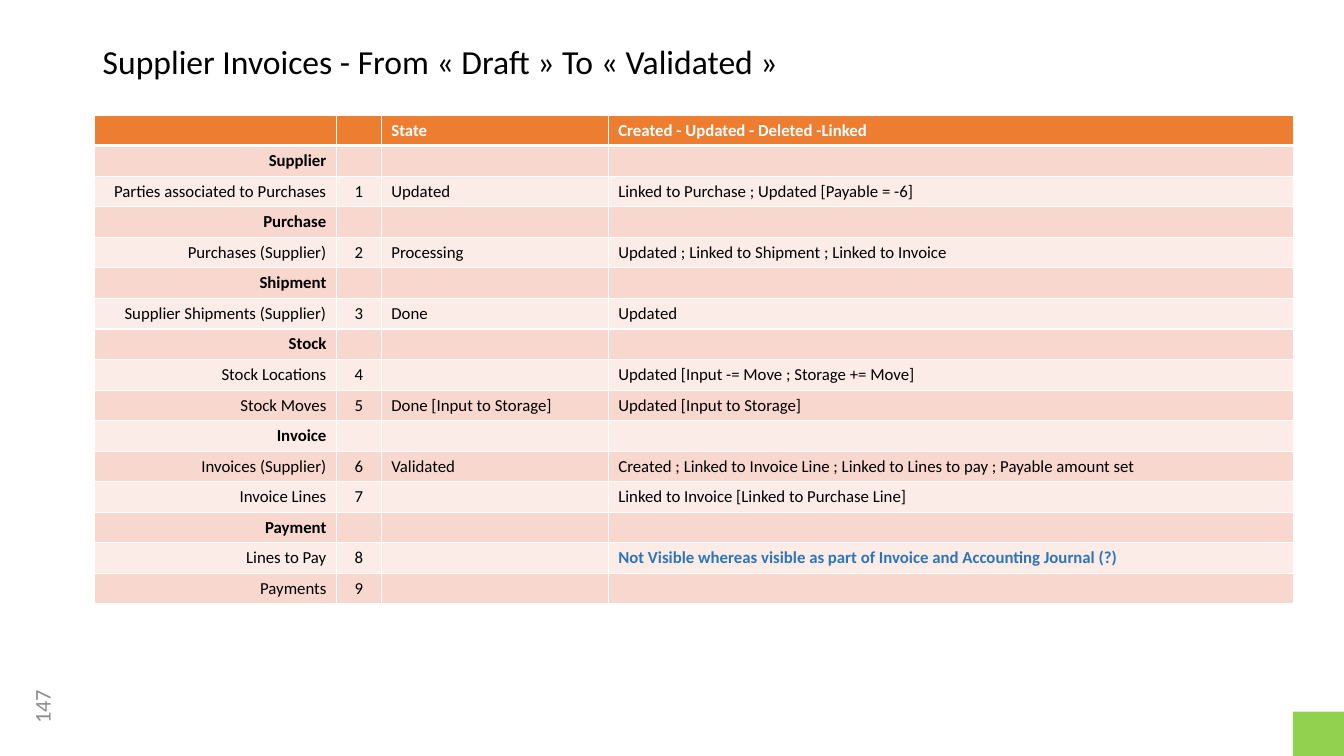
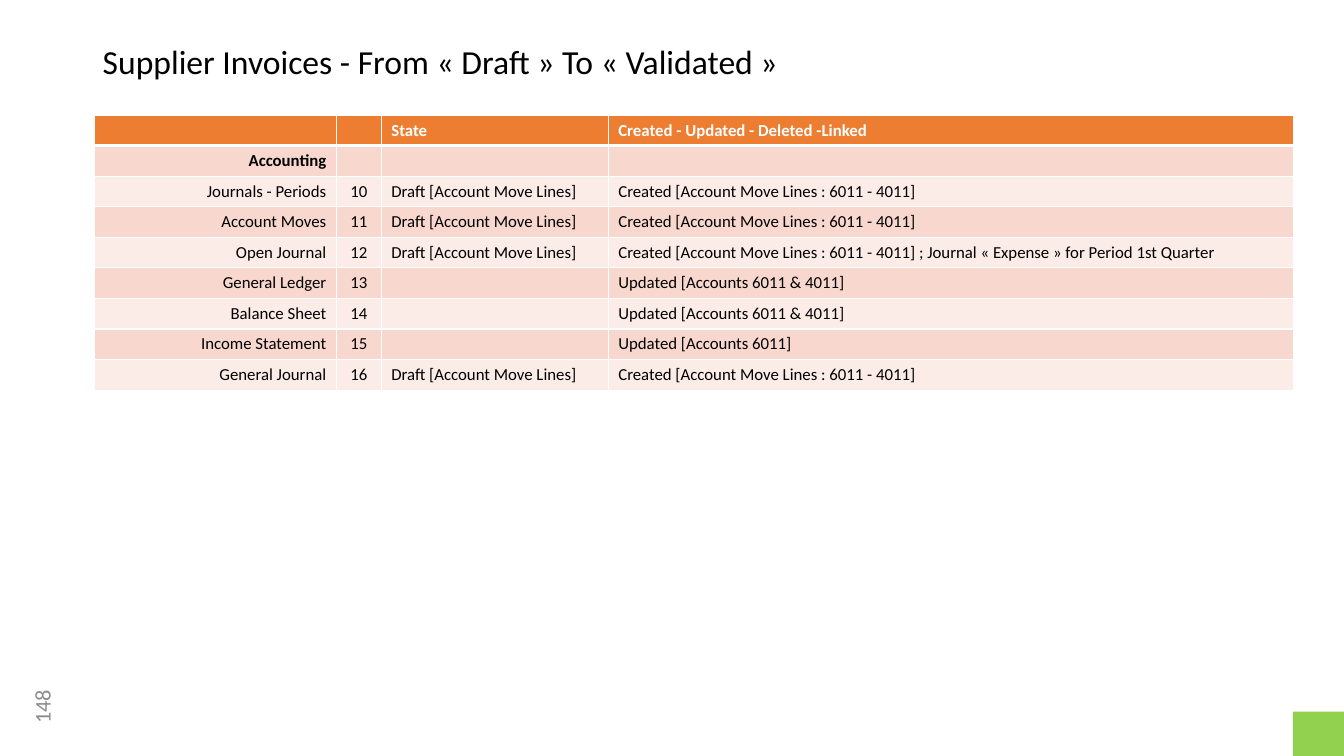
"""Build two slides tracking supplier invoices from draft to validated."""
import itertools

import lxml.etree
import pptx
import pptx.dml.color
import pptx.enum.shapes
import pptx.enum.text
import pptx.oxml.ns
import pptx.util

Cm = pptx.util.Cm
ALIGN = pptx.enum.text.PP_ALIGN
MIDDLE = pptx.enum.text.MSO_ANCHOR.MIDDLE

COLORS = {
    "header": "ED7D31",
    "band_dark": "F8D7CE",
    "band_light": "FCECE8",
    "white": "FFFFFF",
    "text": "000000",
    "issue": "2E75B6",
    "number": "8C8C8C",
    "corner": "92D050",
}
FONT = "Calibri"
TITLE = "Supplier Invoices - From « Draft » To « Validated »"
HEADER = ("", "", "State", "Created - Updated - Deleted -Linked")
COL_WIDTHS = (6.11, 1.13, 5.72, 17.28)
COL_ALIGNS = (ALIGN.RIGHT, ALIGN.CENTER, ALIGN.LEFT, ALIGN.LEFT)
ROW_HEIGHT = 0.77
ISSUE = "Not Visible whereas visible as part of Invoice and Accounting Journal (?)"
DRAFT = "Draft [Account Move Lines]"
CREATED = "Created [Account Move Lines : 6011 - 4011]"

DOCUMENTS = [
    ("Supplier",),
    ("Parties associated to Purchases", "Updated", "Linked to Purchase ; Updated [Payable = -6]"),
    ("Purchase",),
    ("Purchases (Supplier)", "Processing", "Updated ; Linked to Shipment ; Linked to Invoice"),
    ("Shipment",),
    ("Supplier Shipments (Supplier)", "Done", "Updated"),
    ("Stock",),
    ("Stock Locations", "", "Updated [Input -= Move ; Storage += Move]"),
    ("Stock Moves", "Done [Input to Storage]", "Updated [Input to Storage]"),
    ("Invoice",),
    ("Invoices (Supplier)", "Validated",
     "Created ; Linked to Invoice Line ; Linked to Lines to pay ; Payable amount set"),
    ("Invoice Lines", "", "Linked to Invoice [Linked to Purchase Line]"),
    ("Payment",),
    ("Lines to Pay", "", ISSUE),
    ("Payments", "", ""),
]
ACCOUNTING = [
    ("Accounting",),
    ("Journals - Periods", DRAFT, CREATED),
    ("Account Moves", DRAFT, CREATED),
    ("Open Journal", DRAFT, CREATED + " ; Journal « Expense » for Period 1st Quarter"),
    ("General Ledger", "", "Updated [Accounts 6011 & 4011]"),
    ("Balance Sheet", "", "Updated [Accounts 6011 & 4011]"),
    ("Income Statement", "", "Updated [Accounts 6011]"),
    ("General Journal", DRAFT, CREATED),
]


def rgb(name):
    return pptx.dml.color.RGBColor.from_string(COLORS[name])


def write(tf, text, size, color="text", bold=False, align=ALIGN.LEFT):
    p = tf.paragraphs[0]
    p.alignment = align
    if text:
        p.add_run().text = text
    p.font.name = FONT
    p.font.size = pptx.util.Pt(size)
    p.font.bold = bold
    p.font.color.rgb = rgb(color)
    return p


def add_text(slide, box, text, size, **style):
    sp = slide.shapes.add_textbox(*map(Cm, box))
    sp.text_frame.word_wrap = True
    return sp, write(sp.text_frame, text, size, **style)


def add_frame(slide, number):
    _, p = add_text(slide, (2.34, 1.02, 29.21, 1.3), TITLE, 24)
    p.line_spacing = 0.9
    sp, _ = add_text(slide, (0.1, 17.3, 1.9, 1.02), str(number), 16,
                     color="number", align=ALIGN.CENTER)
    sp.text_frame.vertical_anchor = MIDDLE
    sp.rotation = 270
    corner = slide.shapes.add_shape(pptx.enum.shapes.MSO_SHAPE.RECTANGLE,
                                    Cm(32.58), Cm(17.93), Cm(1.29), Cm(1.12))
    corner.shadow.inherit = False
    corner.fill.solid()
    corner.fill.fore_color.rgb = rgb("corner")
    corner.line.fill.background()


def add_borders(cell, top, bottom):
    tc_pr = cell._tc.get_or_add_tcPr()
    qn = pptx.oxml.ns.qn
    for side, width in zip("LRTB", (1, 1, top, bottom)):
        ln = lxml.etree.SubElement(tc_pr, qn("a:ln" + side), w=str(pptx.util.Pt(width)))
        fill = lxml.etree.SubElement(ln, qn("a:solidFill"))
        lxml.etree.SubElement(fill, qn("a:srgbClr"), val=COLORS["white"])


def fill_cell(cell, text, fill, top, bottom, **style):
    add_borders(cell, top, bottom)
    cell.fill.solid()
    cell.fill.fore_color.rgb = rgb(fill)
    cell.margin_top = cell.margin_bottom = 0
    cell.vertical_anchor = MIDDLE
    write(cell.text_frame, text, 12, **style)


def number_rows(rows, counter):
    for row in rows:
        if len(row) == 1:
            yield row + ("", "", "")
        else:
            yield (row[0], str(next(counter))) + row[1:]


def add_status_table(slide, rows, counter):
    lines = [HEADER, *number_rows(rows, counter)]
    table = slide.shapes.add_table(len(lines), len(HEADER), Cm(2.37), Cm(2.9),
                                   Cm(sum(COL_WIDTHS)), Cm(ROW_HEIGHT * len(lines))).table
    table.horz_banding = False
    for column, width in zip(table.columns, COL_WIDTHS):
        column.width = Cm(width)
    for i, line in enumerate(lines):
        table.rows[i].height = Cm(ROW_HEIGHT)
        header = i == 0
        fill = "header" if header else ("band_light", "band_dark")[i % 2]
        section = not line[1]
        for j, (text, align) in enumerate(zip(line, COL_ALIGNS)):
            issue = text == ISSUE
            color = "white" if header else "issue" if issue else "text"
            fill_cell(table.cell(i, j), text, fill, top=3 if i == 1 else 1,
                      bottom=3 if header else 1, color=color,
                      bold=section or issue, align=align)


def main():
    prs = pptx.Presentation()
    prs.slide_width, prs.slide_height = Cm(33.87), Cm(19.05)
    counter = itertools.count(1)
    for number, rows in enumerate((DOCUMENTS, ACCOUNTING), 147):
        slide = prs.slides.add_slide(prs.slide_layouts[6])
        add_frame(slide, number)
        add_status_table(slide, rows, counter)
    prs.save("out.pptx")


if __name__ == "__main__":
    main()
